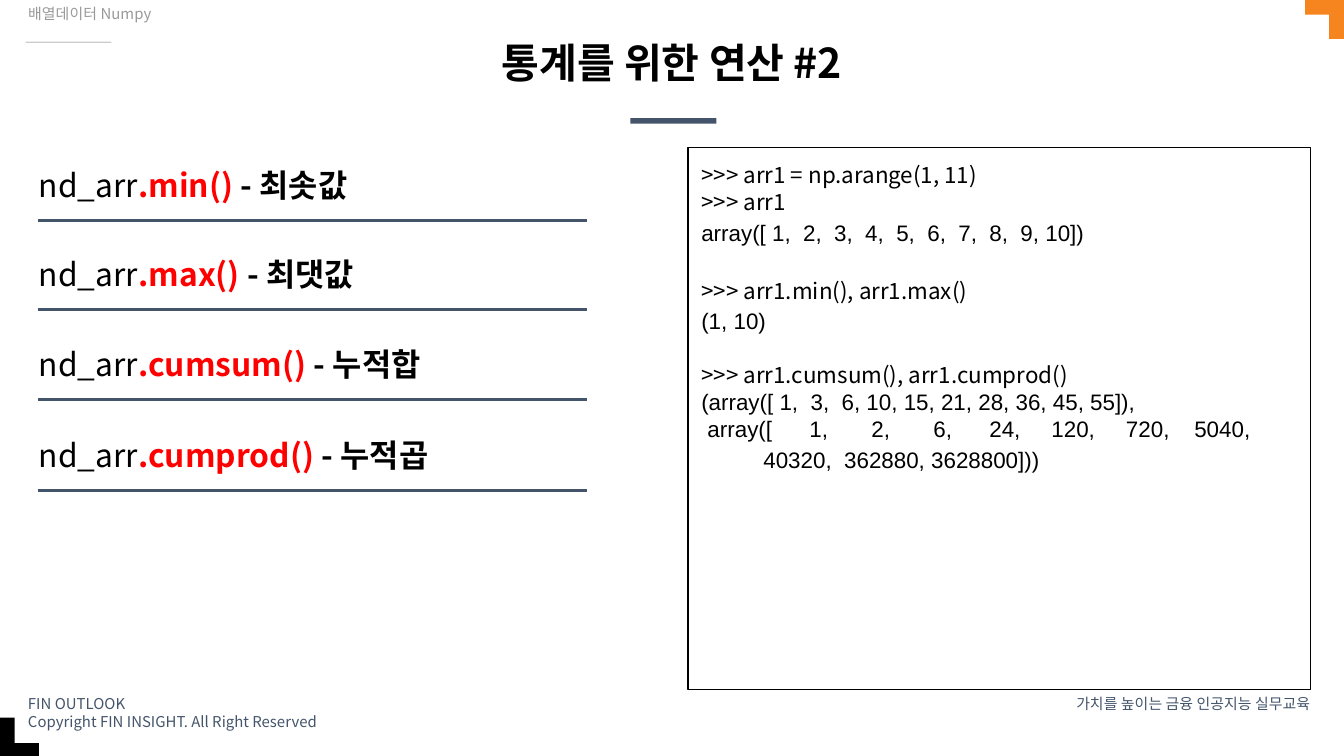
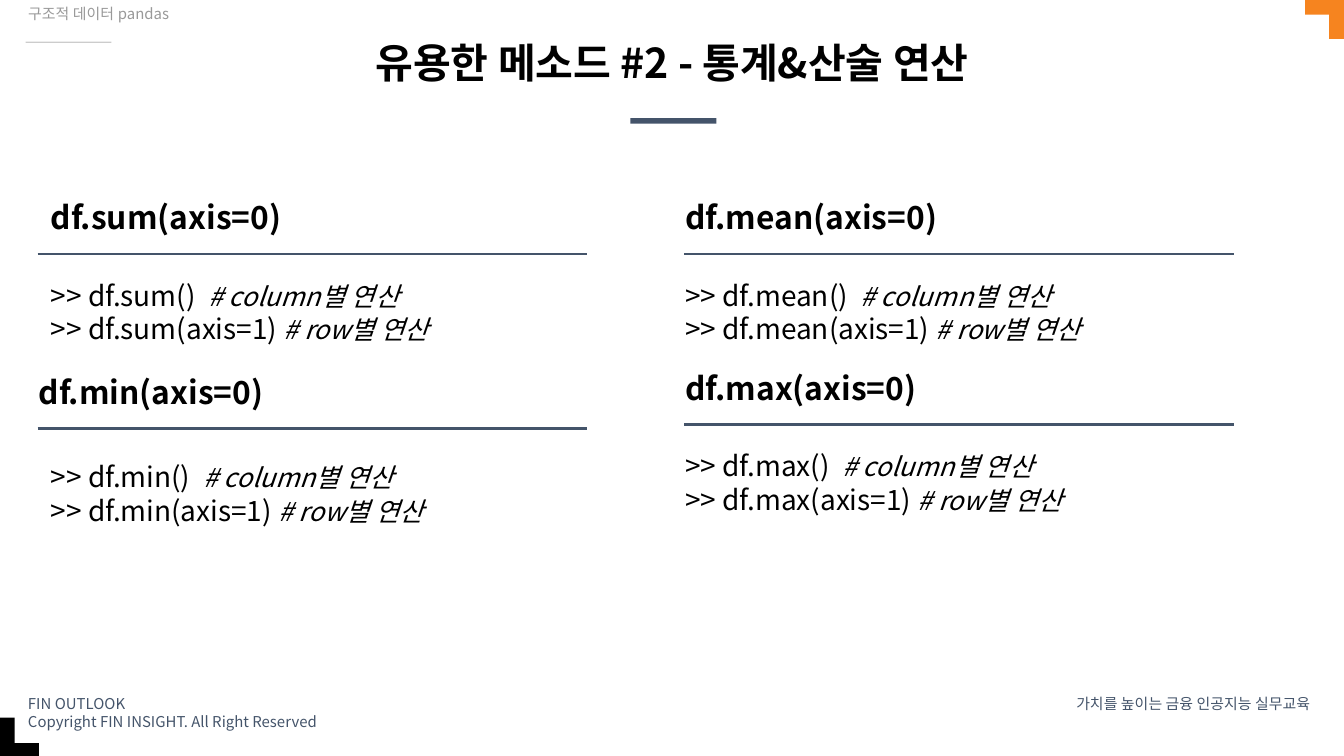
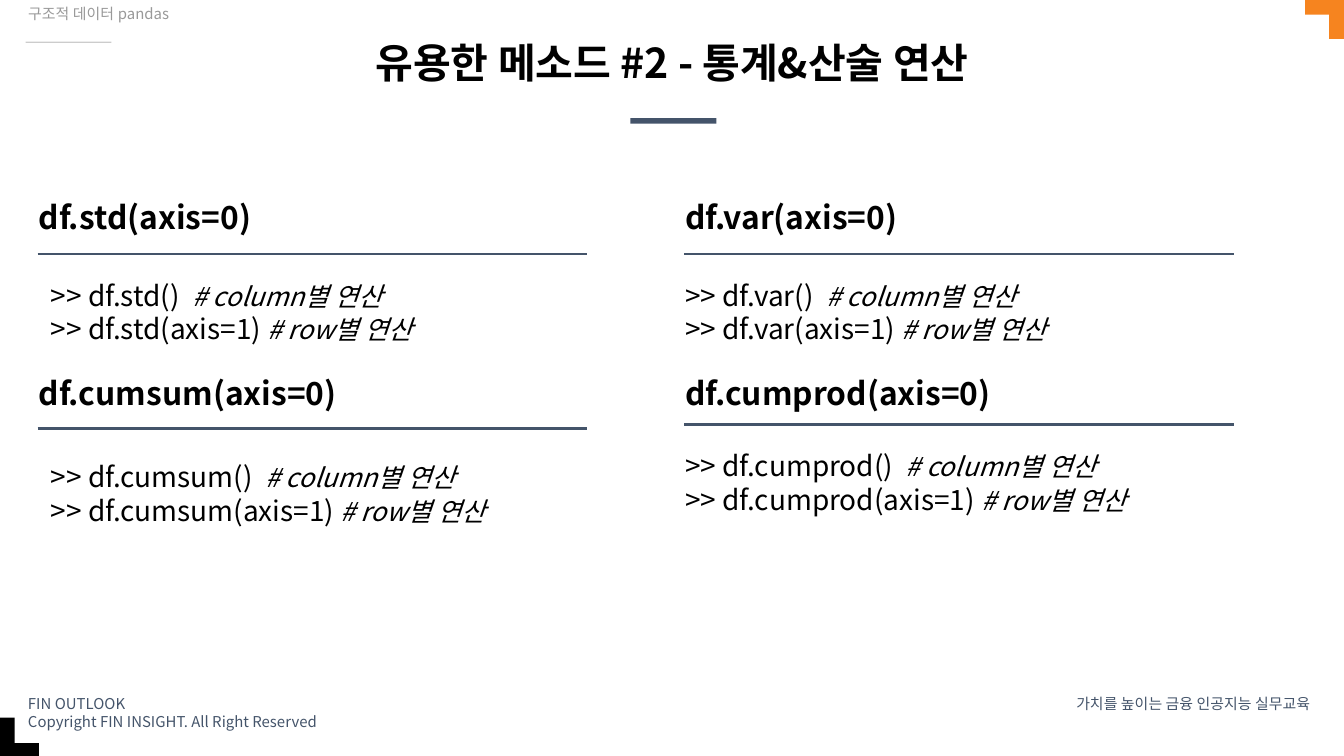
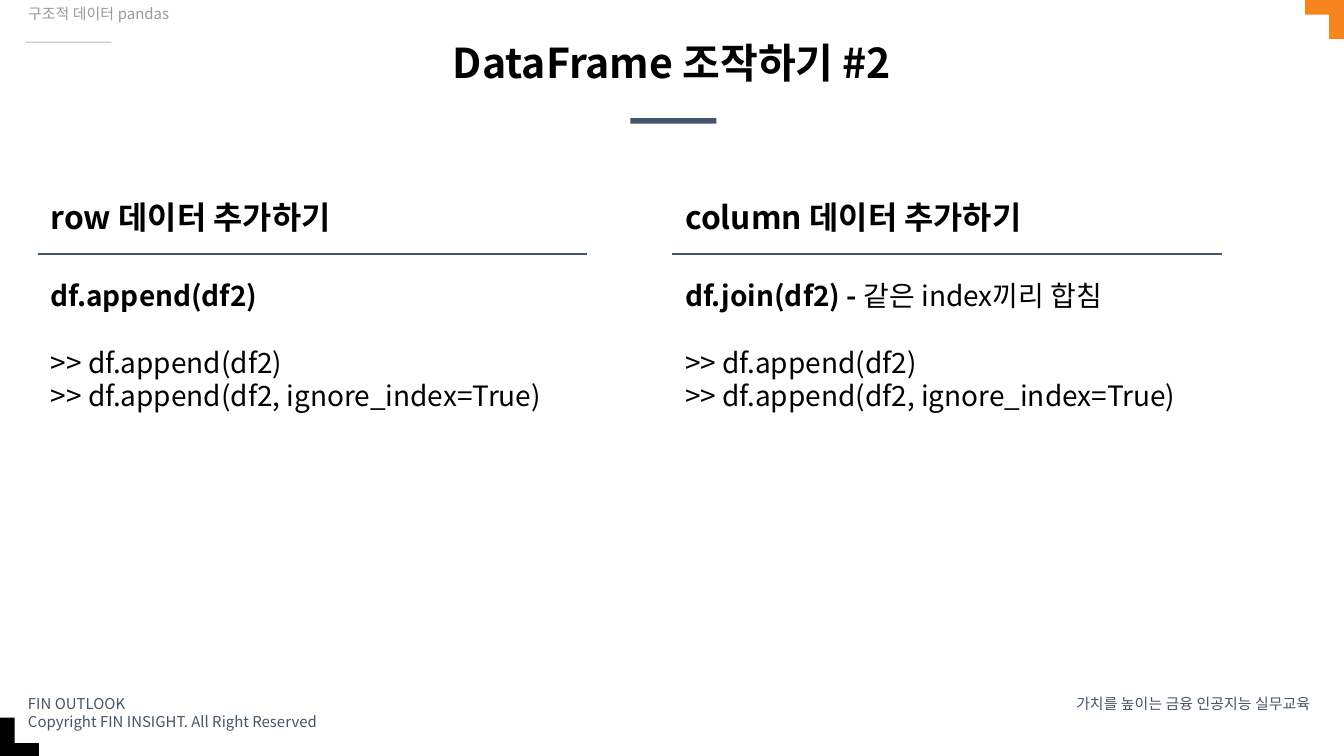
"""Build four lecture slides on numpy and pandas statistics methods."""
from pptx import Presentation
from pptx.dml.color import RGBColor
from pptx.enum.shapes import MSO_CONNECTOR as Connector, MSO_SHAPE as Shape
from pptx.enum.text import MSO_ANCHOR as Anchor, MSO_AUTO_SIZE as AutoSize, PP_ALIGN as Align
from pptx.oxml.ns import qn
from pptx.util import Inches, Pt

COLORS = {"ink": "000000", "slate": "44546A", "muted": "999999",
          "hairline": "CCCCCC", "orange": "F6841F", "accent": "FF0000"}
KOREAN, LATIN = "Noto Sans CJK KR", "Arial"

FOOTER_LEFT = ["FIN OUTLOOK", "Copyright FIN INSIGHT. All Right Reserved"]
FOOTER_RIGHT = ["가치를 높이는 금융 인공지능 실무교육"]
BARS = [
    ("slate", (4.69, 0.88, 0.64, 0.04)),
    ("hairline", (0.19, 0.31, 0.64, 0.01)),
    ("ink", (0, 5.53, 0.29, 0.11)),
    ("ink", (0, 5.34, 0.11, 0.29)),
    ("orange", (9.71, 0, 0.29, 0.11)),
    ("orange", (9.89, 0, 0.11, 0.29)),
]

NUMPY, PANDAS = "배열데이터 Numpy", "구조적 데이터 pandas"
STATISTICS_TITLE = "통계를 위한 연산 #2"
METHODS_TITLE = "유용한 메소드 #2 - 통계&산술 연산"
FRAME_TITLE = "DataFrame 조작하기 #2"

ARRAY_METHODS = [
    (".min() ", "- 최솟값", 1.1),
    (".max() ", "- 최댓값", 1.76),
    (".cumsum() ", "- 누적합", 2.43),
    (".cumprod() ", "- 누적곱", 3.11),
]
SESSION = [
    (">>> arr1 = np.arange(1, 11)", KOREAN, 1, 0),
    (">>> arr1", KOREAN, 1, 0),
    ("array([ 1,  2,  3,  4,  5,  6,  7,  8,  9, 10])", LATIN, 1.15, 0),
    (">>> arr1.min(), arr1.max()", KOREAN, 1, 16.5),
    ("(1, 10)", LATIN, 1.15, 0),
    (">>> arr1.cumsum(), arr1.cumprod()", KOREAN, 1, 14.5),
    ("(array([ 1,  3,  6, 10, 15, 21, 28, 36, 45, 55]),", LATIN, 1, 0),
    (" array([      1,       2,       6,      24,     120,     720,    5040,", LATIN, 1, 0),
    ("          40320,  362880, 3628800]))", LATIN, 1.15, 0),
]

QUADRANTS = [
    {"rule": (0.28, 1.89), "example": (0.28, 1.97)},
    {"rule": (5.09, 1.89), "example": (5, 1.97)},
    {"rule": (0.28, 3.19), "example": (0.28, 3.32)},
    {"rule": (5.09, 3.16), "example": (5, 3.24)},
]
METHOD_SLIDES = [
    [("sum", (0.28, 1.34)), ("mean", (5, 1.34)), ("min", (0.19, 2.64)), ("max", (5, 2.61))],
    [("std", (0.19, 1.34)), ("var", (5, 1.34)), ("cumsum", (0.19, 2.65)), ("cumprod", (5, 2.65))],
]

APPEND_CODE = [">> df.append(df2)", ">> df.append(df2, ignore_index=True)"]
ADDITIONS = [
    (0.28, "row 데이터 추가하기", [("df.append(df2)", {"bold": True})]),
    (5, "column 데이터 추가하기",
     [("df.join(df2) - ", {"bold": True}), ("같은 index끼리 합침", {})]),
]

RULE_WIDTH, HEADING_WIDTH, ROW_HEIGHT = 4.09, 5.58, 0.55


def rgb(name):
    return RGBColor.from_string(COLORS[name])


def write(shape, paragraphs, size, color="ink", insets=(0.1, 0.1),
          align=Align.LEFT, anchor=Anchor.TOP):
    """Fill a shape with paragraphs, each a list of runs plus line and space-before values."""
    frame = shape.text_frame
    frame.word_wrap = True
    frame.auto_size = AutoSize.NONE
    frame.vertical_anchor = anchor
    frame.margin_left = frame.margin_right = Inches(insets[0])
    frame.margin_top = frame.margin_bottom = Inches(insets[1])
    for index, (runs, line_spacing, before) in enumerate(paragraphs):
        paragraph = frame.add_paragraph() if index else frame.paragraphs[0]
        paragraph.alignment = align
        paragraph.line_spacing = line_spacing
        paragraph.space_before = Pt(before)
        for words, style in runs:
            run = paragraph.add_run()
            run.text = words
            font = run.font
            font.size = Pt(style.get("size", size))
            font.bold = style.get("bold", False)
            font.italic = style.get("italic", False)
            font.color.rgb = rgb(style.get("color", color))
            font.name = style.get("font", KOREAN)
            font._element.set("kern", "0")
            east_asian = font._element.makeelement(qn("a:ea"), {"typeface": font.name})
            font._element.find(qn("a:latin")).addnext(east_asian)


def plain(lines, line_spacing=1, **style):
    return [([(line, style)], line_spacing, 0) for line in lines]


def add_text(slide, box, paragraphs, size, **options):
    write(slide.shapes.add_textbox(*map(Inches, box)), paragraphs, size, **options)


def add_bar(slide, color, box):
    bar = slide.shapes.add_shape(Shape.RECTANGLE, *map(Inches, box))
    bar.shadow.inherit = False
    bar.fill.solid()
    bar.fill.fore_color.rgb = rgb(color)
    bar.line.fill.background()


def add_rule(slide, left, top):
    rule = slide.shapes.add_connector(
        Connector.STRAIGHT, *map(Inches, (left, top, left + RULE_WIDTH, top)))
    rule.line.color.rgb = rgb("slate")
    rule.line.width = Pt(1.5)
    properties = rule._element.spPr
    properties.append(properties.makeelement(qn("a:effectLst"), {}))


def add_heading(slide, place, runs, width=HEADING_WIDTH):
    add_text(slide, (*place, width, ROW_HEIGHT), [(runs, 1, 0)], 17, anchor=Anchor.MIDDLE)


def place_on(placeholder, box):
    placeholder.left, placeholder.top, placeholder.width, placeholder.height = map(Inches, box)


def add_slide(deck, title, topic):
    slide = deck.slides.add_slide(deck.slide_layouts[0])
    heading, subtitle = slide.placeholders
    place_on(heading, (1.09, 0.3, 7.82, 0.4))
    write(heading, plain([title], 0.9, bold=True), 22, insets=(0.04, 0.02), align=Align.CENTER)
    place_on(subtitle, (0.11, 0, 2.84, 0.4))
    write(subtitle, plain([topic], 0.9), 8, color="muted", insets=(0.1, 0.05))
    for color, box in BARS:
        add_bar(slide, color, box)
    footer = {"color": "slate", "insets": (0.1, 0.05)}
    add_text(slide, (0.11, 5.12, 2.98, 0.27), plain(FOOTER_LEFT), 8, **footer)
    add_text(slide, (7.76, 5.12, 2.09, 0.17), plain(FOOTER_RIGHT), 8, align=Align.RIGHT, **footer)
    return slide


def add_array_slide(deck):
    slide = add_slide(deck, STATISTICS_TITLE, NUMPY)
    session = slide.shapes.add_shape(Shape.RECTANGLE, *map(Inches, (5.12, 1.1, 4.63, 4.03)))
    session.shadow.inherit = False
    session.fill.background()
    session.line.color.rgb = rgb("ink")
    session.line.width = Pt(0.75)
    write(session, [([(code, {"font": font})], spacing, before)
                    for code, font, spacing, before in SESSION], 12)
    for method, meaning, top in ARRAY_METHODS:
        add_heading(slide, (0.19, top), [("nd_arr", {}),
                                         (method, {"color": "accent", "bold": True}),
                                         (meaning, {"bold": True})])
        add_rule(slide, 0.28, top + 0.54)


def add_method_slide(deck, methods):
    slide = add_slide(deck, METHODS_TITLE, PANDAS)
    comment = {"size": 14, "italic": True}
    for (method, heading_place), quadrant in zip(methods, QUADRANTS):
        add_heading(slide, heading_place, [(f"df.{method}(axis=0)", {"bold": True})])
        add_rule(slide, *quadrant["rule"])
        example = [
            ([(f">> df.{method}()  ", {}), ("# column별 연산", comment)], 1, 0),
            ([(f">> df.{method}(axis=1) ", {}), ("# row별 연산", comment)], 1, 0),
        ]
        add_text(slide, (*quadrant["example"], RULE_WIDTH, ROW_HEIGHT), example, 15)


def add_frame_slide(deck):
    slide = add_slide(deck, FRAME_TITLE, PANDAS)
    width = 4.72
    for left, heading, summary in ADDITIONS:
        add_heading(slide, (left, 1.34), [(heading, {"bold": True})], width)
        add_rule(slide, left, 1.89)
        first, second = APPEND_CODE
        example = [(summary, 1, 0), ([(first, {})], 1, 18), ([(second, {})], 1, 0)]
        add_text(slide, (left, 1.97, width, ROW_HEIGHT), example, 15)


def main():
    deck = Presentation()
    deck.slide_width = Inches(10)
    deck.slide_height = Inches(10) * 9 // 16
    add_array_slide(deck)
    for methods in METHOD_SLIDES:
        add_method_slide(deck, methods)
    add_frame_slide(deck)
    deck.save("out.pptx")


if __name__ == "__main__":
    main()
